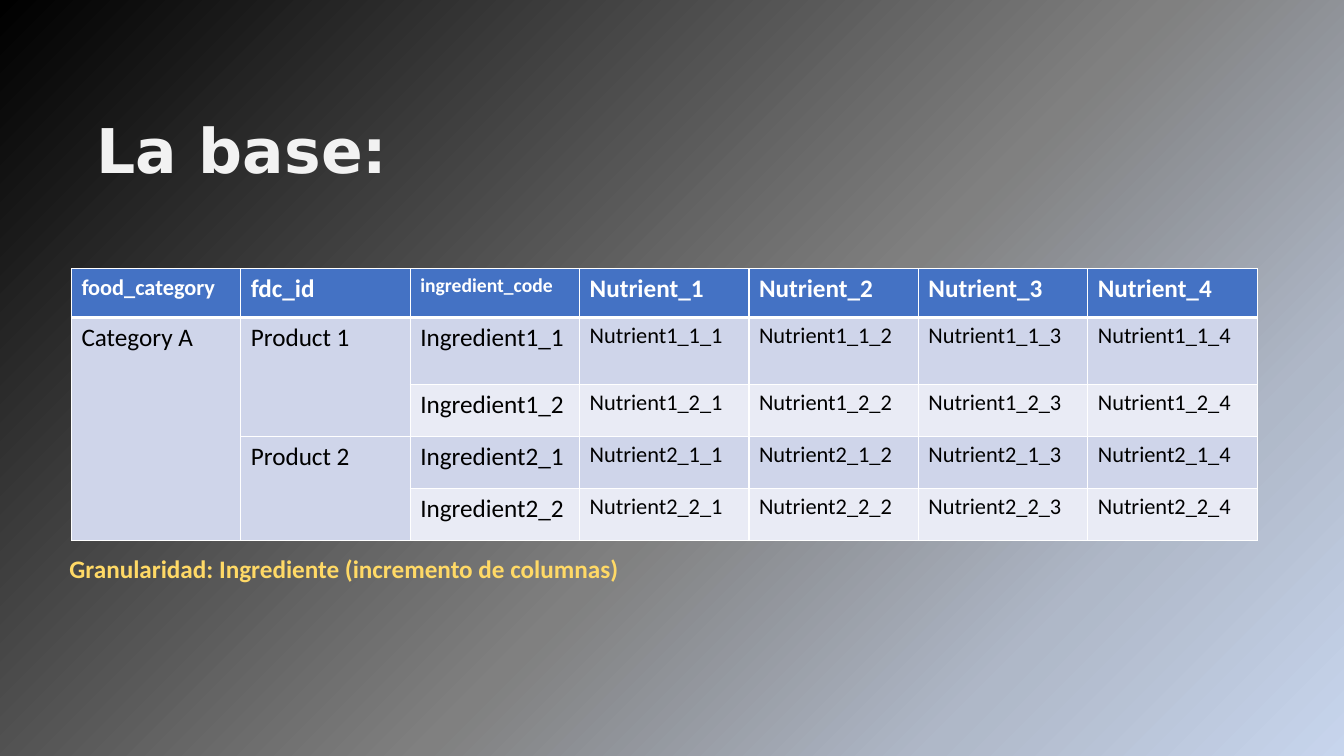
from pptx import Presentation
from pptx.dml.color import RGBColor
from pptx.enum import text
from pptx.oxml import parse_xml
from pptx.oxml.ns import nsdecls, qn
from pptx.util import Cm, Pt

TITLE = "La base:"
NOTE = "Granularidad: Ingrediente (incremento de columnas)"
HEADS = [("food_category", 16), ("fdc_id", 18), ("ingredient_code", 14)]
HEADS += [(f"Nutrient_{n}", 18) for n in range(1, 5)]
CODES = ["1_1", "1_2", "2_1", "2_2"]
GROUPS = [(1, 0, 4, "Category A"), (1, 1, 2, "Product 1"), (3, 1, 2, "Product 2")]
STOPS = [(0, "000000"), (56, "808080"), (80, "AFB8C8"), (100, "C7D5ED")]
ROWS = [1.23, 1.69, 1.31, 1.31, 1.31]
COL = 4.27
BLUE, DARK, PALE, WHITE = "4472C4", "CFD5EA", "E9EBF5", "FFFFFF"


def color(code):
    return RGBColor.from_string(code)


def style(par, words, size, code, bold=False, face="Calibri"):
    par.text = words
    font = par.font
    font.name, font.size, font.bold = face, Pt(size), bold
    font.color.rgb = color(code)


def place(shape, left, top, width, height):
    shape.left, shape.top = Cm(left), Cm(top)
    shape.width, shape.height = Cm(width), Cm(height)


def border(cell, side, width):
    cell._tc.get_or_add_tcPr().append(parse_xml(
        f'<a:ln{side} {nsdecls("a")} w="{Pt(width)}"><a:solidFill>'
        f'<a:srgbClr val="{WHITE}"/></a:solidFill></a:ln{side}>'))


def paint(slide):
    fill = slide.background.fill
    fill.gradient()
    fill.gradient_angle = 315
    stops = next(slide._element.iter(qn("a:gsLst")))
    for stop in list(stops):
        stops.remove(stop)
    for spot, code in STOPS:
        stops.append(parse_xml(
            f'<a:gs {nsdecls("a")} pos="{spot * 1000}"><a:srgbClr val="{code}"/></a:gs>'))


def fill_table(table):
    for col in table.columns:
        col.width = Cm(COL)
    for row, high in zip(table.rows, ROWS):
        row.height = Cm(high)
    for r in range(len(ROWS)):
        for c, (head, size) in enumerate(HEADS):
            cell = table.cell(r, c)
            for side in "LRTB":
                thick = (r, side) in [(0, "B"), (1, "T")]
                border(cell, side, 3 if thick else 1)
            cell.fill.solid()
            shade = DARK if r % 2 or c < 2 else PALE
            cell.fill.fore_color.rgb = color(shade if r else BLUE)
            par = cell.text_frame.paragraphs[0]
            if r == 0:
                style(par, head, size, WHITE, True)
            elif c == 2:
                style(par, f"Ingredient{CODES[r - 1]}", 18, "000000")
            elif c > 2:
                style(par, f"Nutrient{CODES[r - 1]}_{c - 2}", 16, "000000")
    for r, c, span, words in GROUPS:
        cell = table.cell(r, c)
        cell.merge(table.cell(r + span - 1, c))
        style(cell.text_frame.paragraphs[0], words, 18, "000000")


def main():
    deck = Presentation()
    deck.slide_width, deck.slide_height = Cm(33.87), Cm(19.05)
    slide = deck.slides.add_slide(deck.slide_layouts[5])
    paint(slide)

    title = slide.shapes.title
    place(title, 2.18, 2.69, 14.76, 2.13)
    frame = title.text_frame
    frame.vertical_anchor = text.MSO_ANCHOR.MIDDLE
    frame.auto_size = text.MSO_AUTO_SIZE.NONE
    style(frame.paragraphs[0], TITLE, 44, "F2F2F2", True, "DejaVu Sans")
    frame.paragraphs[0].alignment = text.PP_ALIGN.LEFT

    grid = slide.shapes.add_table(
        len(ROWS), len(HEADS), Cm(1.8), Cm(6.77), Cm(COL * len(HEADS)), Cm(sum(ROWS)))
    fill_table(grid.table)

    note = slide.shapes.add_textbox(Cm(1.5), Cm(13.82), Cm(16.94), Cm(1.02))
    note.text_frame.word_wrap = True
    style(note.text_frame.paragraphs[0], NOTE, 18, "FFD966", True)
    deck.save("out.pptx")


if __name__ == "__main__":
    main()
